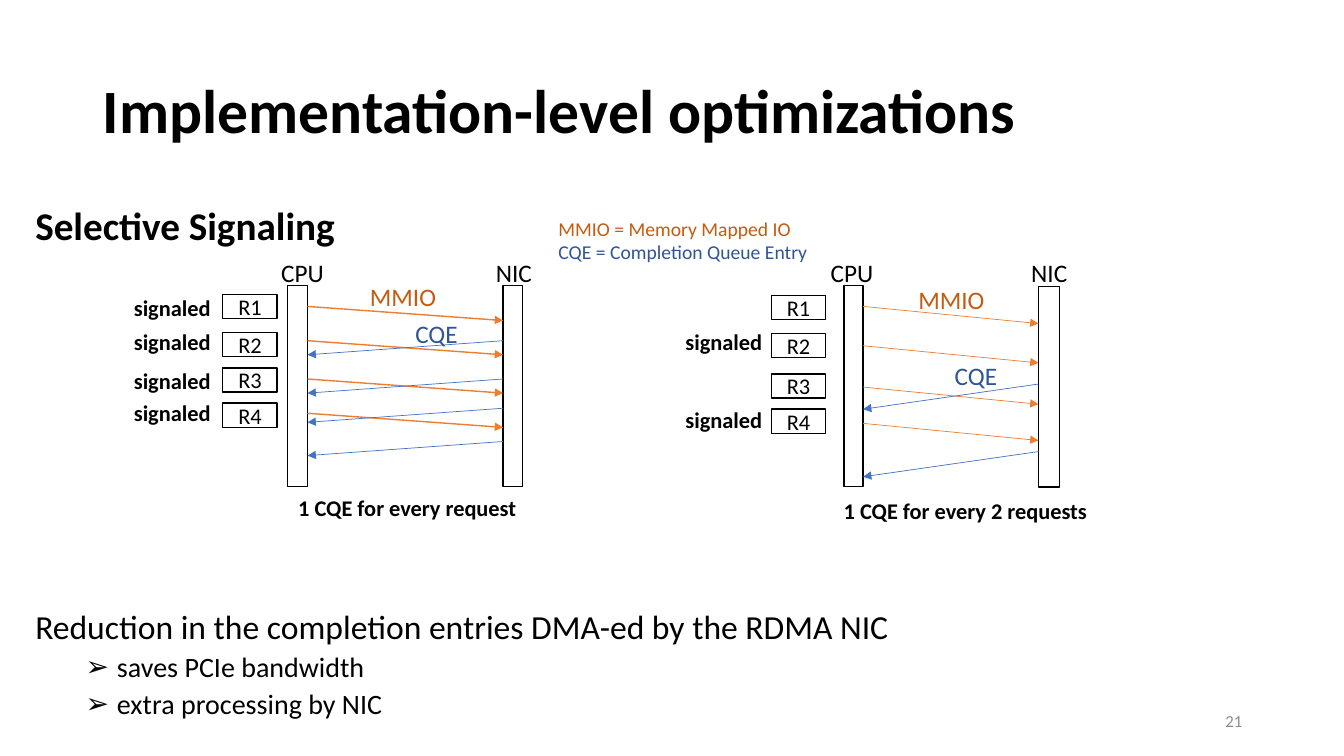
from lxml.etree import SubElement
from pptx import Presentation
from pptx.dml.color import RGBColor
from pptx.enum.shapes import MSO_CONNECTOR, MSO_SHAPE
from pptx.enum.text import MSO_ANCHOR, MSO_AUTO_SIZE, PP_ALIGN
from pptx.oxml.ns import qn
from pptx.util import Inches, Pt

BLACK, WHITE, GREY = "000000", "FFFFFF", "8C8C8C"
ORANGE, BLUE = "ED7D31", "4472C4"
DARK_ORANGE, DARK_BLUE = "C55A11", "2F5597"


def color(value):
    return RGBColor.from_string(value)


def write(p, text, size=16, hue=BLACK, bold=False, align=PP_ALIGN.LEFT,
          font="Calibri"):
    p.alignment = align
    r = p.add_run()
    r.text = text
    r.font.name = font
    r.font.size = Pt(size)
    r.font.bold = bold
    r.font.color.rgb = color(hue)


class Deck:
    def __init__(self, width, height):
        self.prs = Presentation()
        self.prs.slide_width = Inches(width)
        self.prs.slide_height = Inches(height)
        self.s = self.prs.slides.add_slide(self.prs.slide_layouts[1])

    def placeholder(self, index, x, y, w, h, anchor):
        sp = self.s.placeholders[index]
        sp.left, sp.top, sp.width, sp.height = map(Inches, (x, y, w, h))
        tf = sp.text_frame
        tf.auto_size = MSO_AUTO_SIZE.NONE
        tf.vertical_anchor = anchor
        return tf

    def title(self, text, *at):
        p = self.placeholder(0, *at, MSO_ANCHOR.MIDDLE).paragraphs[0]
        p.line_spacing = 0.9
        write(p, text, size=44, bold=True)

    def body(self, items, *at):
        tf = self.placeholder(1, *at, MSO_ANCHOR.TOP)
        for i, (text, level, before, size, bold) in enumerate(items):
            p = tf.add_paragraph() if i else tf.paragraphs[0]
            p.level = level
            p.line_spacing = 0.9
            p.space_before = Pt(before)
            write(p, text, size=size, bold=bold)
            pPr = p._p.get_or_add_pPr()
            pPr.set("marL", str(Inches(0.81 * level)))
            pPr.set("indent", str(Inches(-0.31 * level)))
            if level:
                SubElement(pPr, qn("a:buFont"), typeface="Arial")
                SubElement(pPr, qn("a:buChar"), char="➢")
            else:
                SubElement(pPr, qn("a:buNone"))

    def text(self, lines, x, y, w, h=0.37, anchor=MSO_ANCHOR.TOP, **style):
        sp = self.s.shapes.add_textbox(*map(Inches, (x, y, w, h)))
        tf = sp.text_frame
        tf.word_wrap = True
        tf.vertical_anchor = anchor
        for i, (text, hue) in enumerate(lines):
            p = tf.add_paragraph() if i else tf.paragraphs[0]
            write(p, text, hue=hue, **style)

    def label(self, text, x, y, w=1, hue=BLACK):
        self.text([(text, hue)], x, y, w, 0.4, size=18)

    def note(self, text, x, y, w):
        self.text([(text, BLACK)], x, y, w, bold=True)

    def box(self, x, y, w, h, text=None):
        sp = self.s.shapes.add_shape(MSO_SHAPE.RECTANGLE, *map(Inches, (x, y, w, h)))
        sp.shadow.inherit = False
        sp.fill.solid()
        sp.fill.fore_color.rgb = color(WHITE)
        sp.line.color.rgb = color(BLACK)
        sp.line.width = Pt(1)
        if text:
            sp.text_frame.vertical_anchor = MSO_ANCHOR.MIDDLE
            write(sp.text_frame.paragraphs[0], text, align=PP_ALIGN.CENTER)

    def arrows(self, x1, x2, starts, drop, hue, width):
        for y in starts:
            cn = self.s.shapes.add_connector(
                MSO_CONNECTOR.STRAIGHT, *map(Inches, (x1, y, x2, y + drop)))
            cn.line.color.rgb = color(hue)
            cn.line.width = Pt(width)
            spPr = cn.element.spPr
            SubElement(spPr.find(qn("a:ln")), qn("a:tailEnd"), type="triangle")
            SubElement(spPr, qn("a:effectLst"))

    def exchange(self, cpu, nic, heads, requests, signaled, mmio, cqe,
                 mmio_at, cqe_at, caption):
        self.box(*cpu)
        self.box(*nic)
        for name, x in zip(("CPU", "NIC"), heads):
            self.label(name, x, 2.5)
        x, tops = requests
        for i, y in enumerate(tops, 1):
            self.box(x, y, 0.54, 0.24, f"R{i}")
        x, tops = signaled
        for y in tops:
            self.note("signaled", x, y, 1.17)
        left, right = cpu[0] + cpu[2], nic[0]
        starts, drop, width = mmio
        self.arrows(left, right, starts, drop, ORANGE, width)
        starts, drop = cqe
        self.arrows(right, left, starts, drop, BLUE, 0.5)
        self.label("MMIO", *mmio_at, w=0.99, hue=DARK_ORANGE)
        self.label("CQE", *cqe_at, w=0.75, hue=DARK_BLUE)
        self.note(*caption)


def main():
    deck = Deck(13.33, 7.5)
    deck.title("Implementation-level optimizations", 0.92, 0.4, 11.5, 1.45)
    deck.body([
        ("Selective Signaling", 0, 10, 28, True),
        ("Reduction in the completion entries DMA-ed by the RDMA NIC", 0, 258, 24, False),
        ("saves PCIe bandwidth", 1, 5, 20, False),
        ("extra processing by NIC", 1, 5, 20, False),
    ], 0.25, 2, 12.99, 5.35)
    deck.text([("21", GREY)], 9.42, 6.95, 3, 0.4, anchor=MSO_ANCHOR.MIDDLE,
              size=12, align=PP_ALIGN.RIGHT)

    deck.exchange(
        cpu=(2.85, 2.83, 0.2, 2), nic=(4.99, 2.83, 0.19, 2), heads=(2.69, 4.82),
        requests=(2.21, (2.92, 3.3, 3.65, 4)),
        signaled=(1.23, (2.87, 3.21, 3.59, 3.91)),
        mmio=((3.04, 3.38, 3.76, 4.1), 0.14, 1),
        cqe=((3.38, 3.76, 4.05, 4.38), 0.14),
        mmio_at=(3.57, 2.74), cqe_at=(4.02, 3.11),
        caption=("1 CQE for every request", 2.86, 4.85, 2.46))
    deck.exchange(
        cpu=(8.37, 2.83, 0.19, 2), nic=(10.3, 2.84, 0.21, 1.99), heads=(8.14, 10.13),
        requests=(7.65, (2.93, 3.31, 3.71, 4.06)),
        signaled=(6.7, (3.21, 3.98)),
        mmio=((3.04, 3.43, 3.84, 4.2), 0.17, 0.5),
        cqe=((3.81, 4.48), 0.25),
        mmio_at=(9.01, 2.77), cqe_at=(9.37, 3.53),
        caption=("1 CQE for every 2 requests", 8.27, 4.88, 2.64))

    deck.text([("MMIO = Memory Mapped IO", DARK_ORANGE),
               ("CQE = Completion Queue Entry", DARK_BLUE)],
              5.44, 2.1, 2.75, 0.57, size=14)
    deck.prs.save("out.pptx")


if __name__ == "__main__":
    main()
